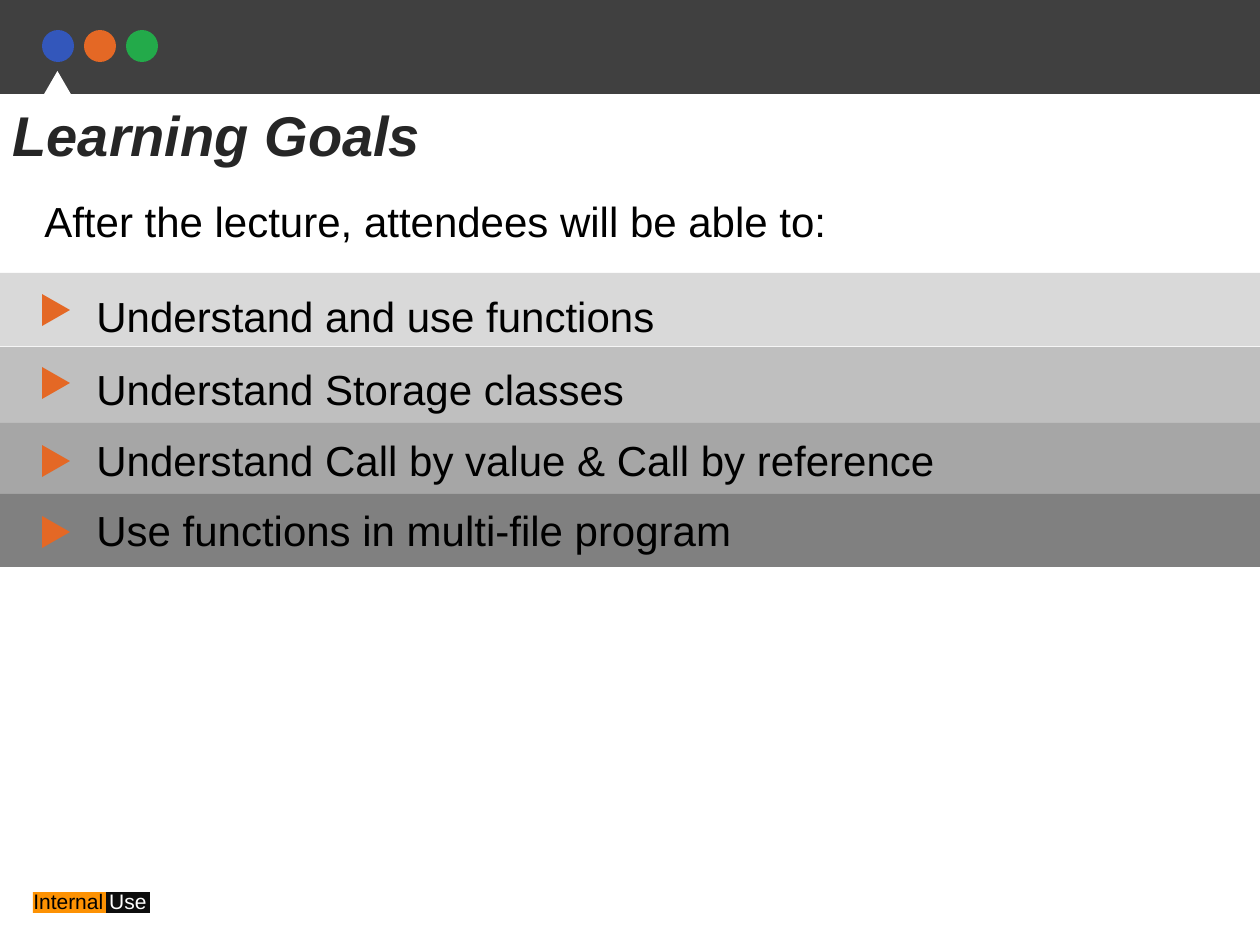
from dataclasses import dataclass

from pptx import Presentation
from pptx.dml.color import RGBColor
from pptx.enum.shapes import MSO_SHAPE
from pptx.enum.text import MSO_ANCHOR, PP_ALIGN
from pptx.util import Emu, Pt

PIXEL = 914400 / 126


@dataclass(frozen=True)
class Theme:
    """Hold the colours, font and type sizes of the slide."""

    font: str = "Arial"
    header: str = "404040"
    dots: tuple = ("3357BB", "E46825", "23AA4A")
    accent: str = "E46825"
    paper: str = "FFFFFF"
    ink: str = "000000"
    title_ink: str = "262626"
    tag_dark: str = "0D0D0D"
    tag_orange: str = "FD9203"
    title_size: int = 32
    body_size: int = 24
    tag_size: int = 12


THEME = Theme()


@dataclass(frozen=True)
class Goal:
    """Describe one goal row: its wording, band, arrow and text box."""

    text: str
    colour: str
    band_top: int
    band_height: int
    arrow_top: int
    text_top: int
    text_height: int


GOALS = (
    Goal("Understand and use functions", "D9D9D9", 273, 73, 296, 284, 63),
    Goal("Understand Storage classes", "BFBFBF", 347, 77, 369, 357, 63),
    Goal("Understand Call by value & Call by reference", "A6A6A6", 423, 74, 447, 428, 115),
    Goal("Use functions in multi-file program", "808080", 494, 73, 518, 498, 115),
)


def px(value):
    """Turn pixels into EMU."""
    return Emu(round(value * PIXEL))


def add_block(page, kind, left, top, width, height, colour, rotation=0):
    """Add a plain filled shape without line or shadow."""
    shape = page.shapes.add_shape(kind, px(left), px(top), px(width), px(height))
    shape.shadow.inherit = False
    shape.fill.solid()
    shape.fill.fore_color.rgb = RGBColor.from_string(colour)
    shape.line.fill.background()
    shape.rotation = rotation
    return shape


def add_span(para, text, size=THEME.body_size, colour=THEME.ink, bold=False, italic=False):
    """Add a formatted run of text to a paragraph."""
    span = para.add_run()
    span.text = text
    span.font.name = THEME.font
    span.font.size = Pt(size)
    span.font.bold = bold
    span.font.italic = italic
    span.font.color.rgb = RGBColor.from_string(colour)


def prepare_frame(box):
    """Set wrapping and alignment of a box and return its paragraph."""
    frame = box.text_frame
    frame.word_wrap = True
    frame.vertical_anchor = MSO_ANCHOR.TOP
    para = frame.paragraphs[0]
    para.alignment = PP_ALIGN.LEFT
    para.line_spacing = 1.0
    para.space_before = Pt(0)
    return para


def add_text(page, left, top, width, height):
    """Add a wrapping text box and return its paragraph."""
    box = page.shapes.add_textbox(px(left), px(top), px(width), px(height))
    return prepare_frame(box)


def add_header(page):
    """Draw the dark header with its dots and pointer."""
    add_block(page, MSO_SHAPE.RECTANGLE, 0, 0, 1260, 94, THEME.header)
    for index, colour in enumerate(THEME.dots):
        add_block(page, MSO_SHAPE.OVAL, 42 + 42 * index, 30, 32, 32, colour)
    add_block(page, MSO_SHAPE.ISOSCELES_TRIANGLE, 21, 71, 73, 63, THEME.paper)


def add_tag(page):
    """Draw the two-coloured usage tag."""
    add_block(page, MSO_SHAPE.RECTANGLE, 77, 892, 73, 21, THEME.tag_dark)
    add_block(page, MSO_SHAPE.RECTANGLE, 33, 892, 73, 21, THEME.tag_orange)
    para = add_text(page, 21, 882, 189, 38)
    add_span(para, "Internal ", size=THEME.tag_size)
    add_span(para, "Use", size=THEME.tag_size, colour=THEME.paper)


def set_title(page, text):
    """Place and format the title in front of the header."""
    title = page.shapes.title
    title.left, title.top, title.width, title.height = map(px, (0, 94, 588, 81))
    para = prepare_frame(title)
    add_span(para, text, size=THEME.title_size, colour=THEME.title_ink, bold=True, italic=True)
    title.element.getparent().append(title.element)


def add_goal(page, goal):
    """Draw a goal as a band with an arrow and its text."""
    add_block(page, MSO_SHAPE.RECTANGLE, 0, goal.band_top, 1260, goal.band_height, goal.colour)
    add_block(page, MSO_SHAPE.ISOSCELES_TRIANGLE, 40, goal.arrow_top, 32, 28, THEME.accent, rotation=90)
    add_span(add_text(page, 84, goal.text_top, 1124, goal.text_height), goal.text)


def main():
    """Build the slide and save it."""
    deck = Presentation()
    deck.slide_width, deck.slide_height = px(1260), px(945)
    page = deck.slides.add_slide(deck.slide_layouts[5])
    add_header(page)
    add_tag(page)
    set_title(page, "Learning Goals")
    add_span(add_text(page, 32, 189, 882, 63), "After the lecture, attendees will be able to:")
    for goal in GOALS:
        add_goal(page, goal)
    deck.save("out.pptx")


main()
